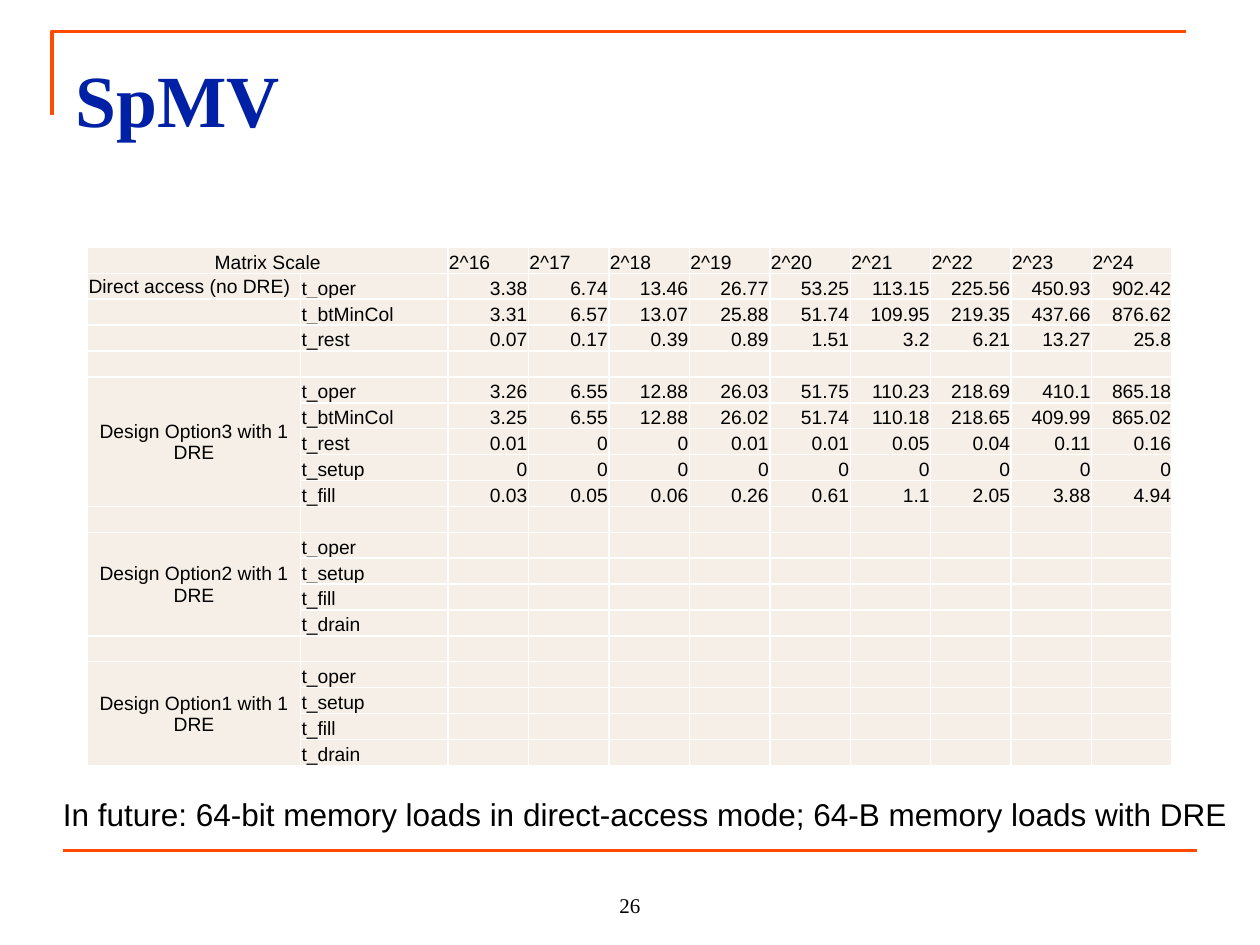
"""Build the SpMV timing slide."""
from lxml import etree
from pptx import Presentation
from pptx.dml.color import RGBColor
from pptx.enum import shapes, text
from pptx.oxml.ns import qn
from pptx.util import Pt


def color(code):
    return RGBColor.from_string(code)


def style(par, size, face, code="000000", bold=False, align=text.PP_ALIGN.LEFT):
    par.alignment = align
    for run in par.runs:
        run.font.size, run.font.name, run.font.bold = Pt(size), face, bold
        run.font.color.rgb = color(code)
    if not par.runs:
        etree.SubElement(par._p, qn("a:endParaRPr"), sz=str(size * 100))


LEFT, MID, RIGHT = text.PP_ALIGN.LEFT, text.PP_ALIGN.CENTER, text.PP_ALIGN.RIGHT
LOW, HALF = text.MSO_ANCHOR.BOTTOM, text.MSO_ANCHOR.MIDDLE
ARIAL, TIMES = "Arial", "Times New Roman"

deck = Presentation()
deck.slide_width, deck.slide_height = Pt(720), Pt(540)
slide = deck.slides.add_slide(deck.slide_layouts[5])

pen = slide.shapes.build_freeform(Pt(30), Pt(66))
pen.add_line_segments([(Pt(30), Pt(18)), (Pt(678), Pt(18))], close=False)
frame = pen.convert_to_shape()
frame.shadow.inherit = False
frame.fill.background()
rule = slide.shapes.add_connector(
    shapes.MSO_CONNECTOR.STRAIGHT, Pt(36), Pt(486), Pt(684), Pt(486))
etree.SubElement(rule._element.spPr, qn("a:effectLst"))
for item in (frame, rule):
    item.line.color.rgb = color("FF4A00")
    item.line.width = Pt(2.25)

title = slide.shapes.title
title.left, title.top, title.width, title.height = Pt(36), Pt(21.6), Pt(648), Pt(74)
title.text_frame.text = "SpMV"
title.text_frame.vertical_anchor = text.MSO_ANCHOR.TOP
title.text_frame.margin_top = Pt(9)
style(title.text_frame.paragraphs[0], 42, TIMES, "0021A5", True)

page = slide.shapes.add_textbox(Pt(288), Pt(492), Pt(144), Pt(36)).text_frame
page.text = "26"
page.word_wrap = True
page.vertical_anchor = LOW
style(page.paragraphs[0], 12, TIMES, align=MID)

groups = [
    ("Direct access (no DRE)", [
        "t_oper 3.38 6.74 13.46 26.77 53.25 113.15 225.56 450.93 902.42",
        "t_btMinCol 3.31 6.57 13.07 25.88 51.74 109.95 219.35 437.66 876.62",
        "t_rest 0.07 0.17 0.39 0.89 1.51 3.2 6.21 13.27 25.8"]),
    ("Design Option3 with 1 DRE", [
        "t_oper 3.26 6.55 12.88 26.03 51.75 110.23 218.69 410.1 865.18",
        "t_btMinCol 3.25 6.55 12.88 26.02 51.74 110.18 218.65 409.99 865.02",
        "t_rest 0.01 0 0 0.01 0.01 0.05 0.04 0.11 0.16",
        "t_setup 0 0 0 0 0 0 0 0 0",
        "t_fill 0.03 0.05 0.06 0.26 0.61 1.1 2.05 3.88 4.94"]),
    ("Design Option2 with 1 DRE", ["t_oper", "t_setup", "t_fill", "t_drain"]),
    ("Design Option1 with 1 DRE", ["t_oper", "t_setup", "t_fill", "t_drain"]),
]
rows = [["Matrix Scale", ""] + [f"2^{n}" for n in range(16, 25)]]
spans = []
for name, lines in groups:
    if len(rows) > 1:
        rows.append([])
        spans.append((len(rows), len(lines)))
    for i, line in enumerate(lines):
        rows.append(["" if i else name] + line.split())

grid = slide.shapes.add_table(
    len(rows), 11, Pt(50), Pt(141.4), Pt(620), Pt(14.8 * len(rows))).table
grid.first_row = grid.horz_banding = False
for c, col in enumerate(grid.columns):
    col.width = Pt((121.7, 84.3)[c] if c < 2 else 46)
for r, row in enumerate(rows):
    grid.rows[r].height = Pt(14.8)
    for c in range(11):
        cell = grid.cell(r, c)
        cell.text_frame.text = row[c] if c < len(row) else ""
        cell.margin_left = cell.margin_right = cell.margin_top = Pt(0.6)
        cell.margin_bottom = 0
        cell.vertical_anchor = HALF if r and c == 0 else LOW
        cell.fill.solid()
        cell.fill.fore_color.rgb = color("F6EFE7")
        if c == 0:
            align = LEFT if r == 1 else MID
        else:
            align = RIGHT if r and c > 1 else LEFT
        style(cell.text_frame.paragraphs[0], 11, ARIAL, align=align)
        props = cell._tc.get_or_add_tcPr()
        for i, side in enumerate("LRTB"):
            edge = etree.Element(qn("a:ln" + side), w="12700")
            fill = etree.SubElement(edge, qn("a:solidFill"))
            etree.SubElement(fill, qn("a:srgbClr"), val="FFFFFF")
            props.insert(i, edge)
grid.cell(0, 0).merge(grid.cell(0, 1))
for top, count in spans:
    grid.cell(top, 0).merge(grid.cell(top + count - 1, 0))

note = slide.shapes.add_textbox(Pt(28.8), Pt(450.7), Pt(680.4), Pt(28.8)).text_frame
note.text = ("In future: 64-bit memory loads in direct-access mode; "
             "64-B memory loads with DRE")
note.word_wrap = False
style(note.paragraphs[0], 18, ARIAL)

deck.save("out.pptx")
